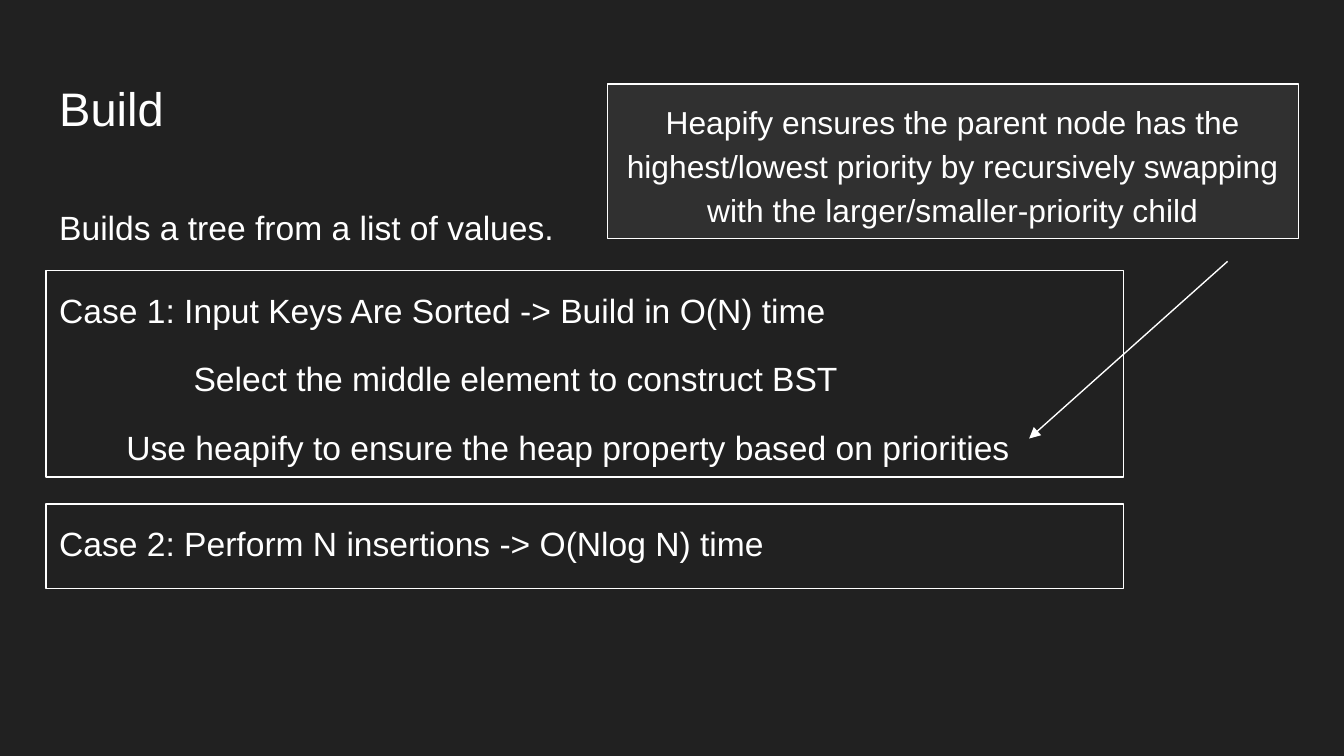
from dataclasses import dataclass

from lxml.etree import SubElement
from pptx import Presentation
from pptx.dml.color import RGBColor
from pptx.enum.shapes import MSO_CONNECTOR, MSO_SHAPE
from pptx.enum.text import MSO_ANCHOR, PP_ALIGN
from pptx.oxml.ns import qn
from pptx.slide import Slide
from pptx.util import Cm, Pt


@dataclass(frozen=True)
class Theme:
    background: RGBColor = RGBColor(0x21, 0x21, 0x21)
    panel: RGBColor = RGBColor(0x30, 0x30, 0x30)
    foreground: RGBColor = RGBColor(0xFF, 0xFF, 0xFF)
    font: str = "Arial"
    title_size: float = 25.2
    body_size: float = 18
    note_size: float = 17
    line_width: float = 0.75
    paragraph_gap: float = 12
    inset: float = 0.25


@dataclass(frozen=True)
class Line:
    text: str
    indent: float = 0


@dataclass(frozen=True)
class Box:
    """A block of text; lengths are in centimetres."""
    left: float
    top: float
    width: float
    height: float
    lines: tuple[Line, ...]
    size: float
    spacing: float = 1.15
    align: PP_ALIGN = PP_ALIGN.LEFT
    anchor: MSO_ANCHOR = MSO_ANCHOR.TOP
    outlined: bool = True
    fill: RGBColor | None = None


THEME = Theme()
LEFT, FULL_WIDTH, CASE_WIDTH = 0.87, 23.67, 20.37

BOXES = (
    Box(LEFT, 1.24, FULL_WIDTH, 1.6, (Line("Build"),), THEME.title_size,
        spacing=1, anchor=MSO_ANCHOR.MIDDLE, outlined=False),
    Box(LEFT, 3.71, FULL_WIDTH, 1.24, (Line("Builds a tree from a list of values."),),
        THEME.body_size, spacing=0.95, outlined=False),
    Box(11.48, 1.59, 13.06, 2.92,
        (Line("Heapify ensures the parent node has the highest/lowest priority by "
              "recursively swapping with the larger/smaller-priority child"),),
        THEME.note_size, align=PP_ALIGN.CENTER, fill=THEME.panel),
    Box(LEFT, 5.11, CASE_WIDTH, 3.91,
        (Line("Case 1: Input Keys Are Sorted -> Build in O(N) time"),
         Line("Select the middle element to construct BST", indent=2.54),
         Line("Use heapify to ensure the heap property based on priorities", indent=1.27)),
        THEME.body_size),
    Box(LEFT, 9.53, CASE_WIDTH, 1.6,
        (Line("Case 2: Perform N insertions -> O(Nlog N) time"),), THEME.body_size),
)


def draw_box(slide: Slide, box: Box) -> None:
    bounds = [Cm(length) for length in (box.left, box.top, box.width, box.height)]
    if box.outlined:
        shape = slide.shapes.add_shape(MSO_SHAPE.RECTANGLE, *bounds)
        shape.shadow.inherit = False
        shape.line.color.rgb = THEME.foreground
        shape.line.width = Pt(THEME.line_width)
        if box.fill is None:
            shape.fill.background()
        else:
            shape.fill.solid()
            shape.fill.fore_color.rgb = box.fill
    else:
        shape = slide.shapes.add_textbox(*bounds)

    frame = shape.text_frame
    frame.word_wrap = True
    frame.vertical_anchor = box.anchor
    frame.margin_left = frame.margin_right = Cm(THEME.inset)
    frame.margin_top = frame.margin_bottom = Cm(THEME.inset)
    for index, line in enumerate(box.lines):
        paragraph = frame.add_paragraph() if index else frame.paragraphs[0]
        paragraph.text = line.text
        paragraph.alignment = box.align
        paragraph.line_spacing = box.spacing
        if index:
            paragraph.space_before = Pt(THEME.paragraph_gap)
        if line.indent:
            paragraph._p.get_or_add_pPr().set("marL", str(Cm(line.indent)))
        paragraph.font.name = THEME.font
        paragraph.font.size = Pt(box.size)
        paragraph.font.color.rgb = THEME.foreground


def draw_arrow(slide: Slide, start: tuple[float, float], end: tuple[float, float]) -> None:
    arrow = slide.shapes.add_connector(
        MSO_CONNECTOR.STRAIGHT, *(Cm(length) for length in start + end))
    arrow.line.color.rgb = THEME.foreground
    arrow.line.width = Pt(THEME.line_width)
    SubElement(arrow.line._get_or_add_ln(), qn("a:tailEnd"), type="triangle")
    SubElement(arrow._element.spPr, qn("a:effectLst"))


def main() -> None:
    presentation = Presentation()
    presentation.slide_width, presentation.slide_height = Cm(25.4), Cm(14.29)
    slide = presentation.slides.add_slide(presentation.slide_layouts[6])
    slide.background.fill.solid()
    slide.background.fill.fore_color.rgb = THEME.background
    for box in BOXES:
        draw_box(slide, box)
    draw_arrow(slide, start=(23.2, 4.94), end=(19.45, 8.29))
    presentation.save("out.pptx")


if __name__ == "__main__":
    main()
